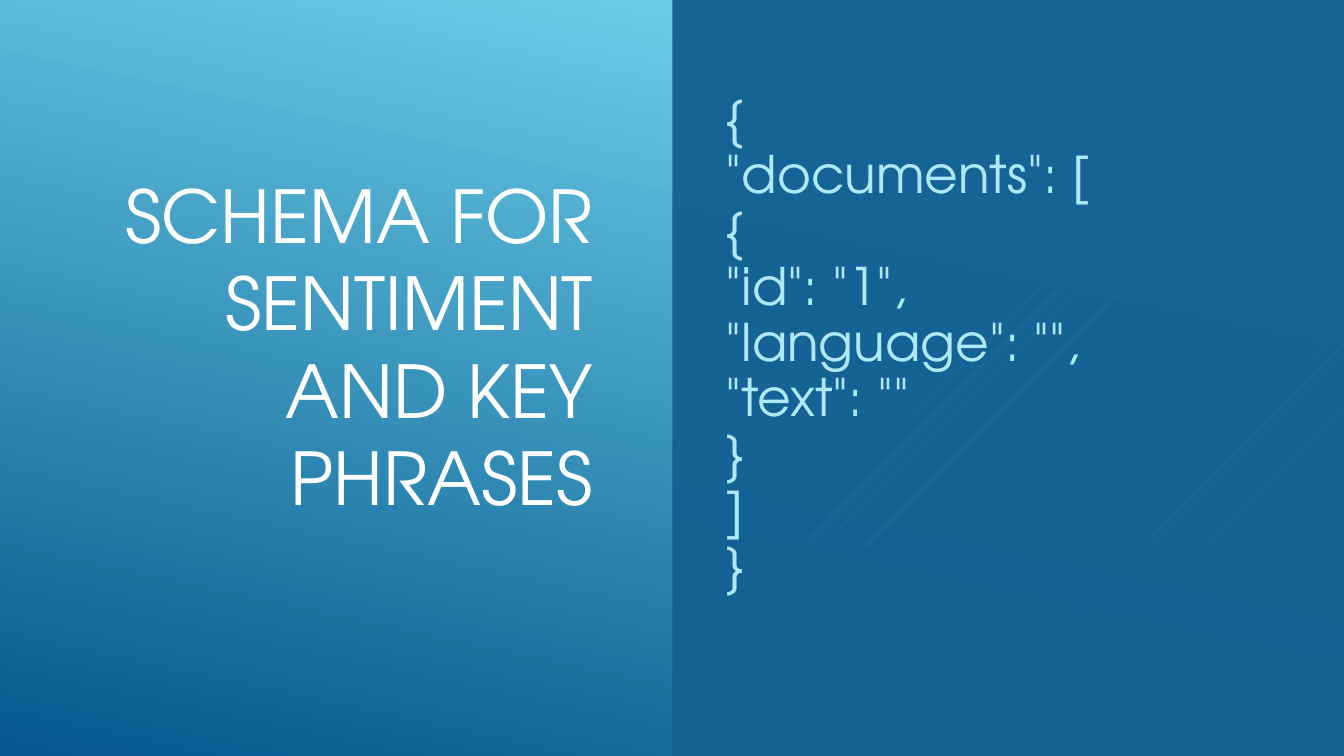
"""Build a split slide: a title on a gradient and a JSON schema on a dark panel."""
from lxml.etree import SubElement
from pptx import Presentation
from pptx.dml.color import RGBColor
from pptx.enum.shapes import MSO_CONNECTOR, MSO_SHAPE
from pptx.enum.text import MSO_ANCHOR, PP_ALIGN
from pptx.oxml.ns import qn
from pptx.util import Inches, Pt

COLORS = {"sky": "6ED2EB", "deep": "06588E", "panel": "146194",
          "white": "FFFFFF", "code": "ADE9F8"}
FONT = "TeX Gyre Adventor"
SCHEMA = """{
"documents": [
{
"id": "1",
"language": "",
"text": ""
}
]
}"""


def color(name):
    return RGBColor.from_string(COLORS[name])


def add_text(slide, box, text, size, color_name):
    tf = slide.shapes.add_textbox(*(Inches(v) for v in box)).text_frame
    tf.word_wrap = True
    tf.vertical_anchor = MSO_ANCHOR.MIDDLE
    p = tf.paragraphs[0]
    p.text = text
    p.font.name = FONT
    p.font.size = Pt(size)
    p.font.color.rgb = color(color_name)
    return p


prs = Presentation()
prs.slide_width = Inches(13.33)
prs.slide_height = Inches(7.5)
s = prs.slides.add_slide(prs.slide_layouts[6])

fill = s.background.fill
fill.gradient()
fill.gradient_angle = 360 - 102
for stop, (position, name) in zip(fill.gradient_stops, [(0.1, "sky"), (1, "deep")]):
    stop.position = position
    stop.color.rgb = color(name)

# right x, top y, run (equal across and down), line width
diagonals = [
    (13.33, 3.24, 1, 0.75), (13.33, 3.49, 3.26, 0.75), (13.33, 3.59, 2.07, 0.75),
    (13.33, 3.42, 1.91, 2.25), (13.33, 4.03, 1.39, 2.25),
    (13.16, 0.01, 4.16, 1), (13.33, 0.1, 6.65, 1), (13.33, 0.25, 5.42, 1),
    (13.33, 0.04, 5.31, 2.5), (13.33, 0.67, 4.75, 2.5),
]
for x, y, run, width in diagonals:
    line = s.shapes.add_connector(MSO_CONNECTOR.STRAIGHT, Inches(x), Inches(y),
                                  Inches(x - run), Inches(y + run))
    line.line.color.rgb = color("white")
    line.line.width = Pt(width)
    SubElement(line._element.spPr, qn("a:effectLst"))

title = add_text(s, (0.75, 0.75, 5.23, 5.35),
                 "SCHEMA FOR SENTIMENT AND KEY PHRASES", 52, "white")
title.alignment = PP_ALIGN.RIGHT

panel = s.shapes.add_shape(MSO_SHAPE.RECTANGLE, Inches(6.67), 0, Inches(6.67), Inches(7.5))
panel.shadow.inherit = False
panel.line.fill.background()
panel.fill.solid()
panel.fill.fore_color.rgb = color("panel")
srgb = panel._element.spPr.find(qn("a:solidFill")).find(qn("a:srgbClr"))
SubElement(srgb, qn("a:alpha"), val="97000")

schema = add_text(s, (7.1, 0.75, 5.27, 5.33), SCHEMA, 37, "code")
schema.line_spacing = 0.9
schema.space_before = Pt(7.4)
schema.space_after = Pt(6)

prs.save("out.pptx")
